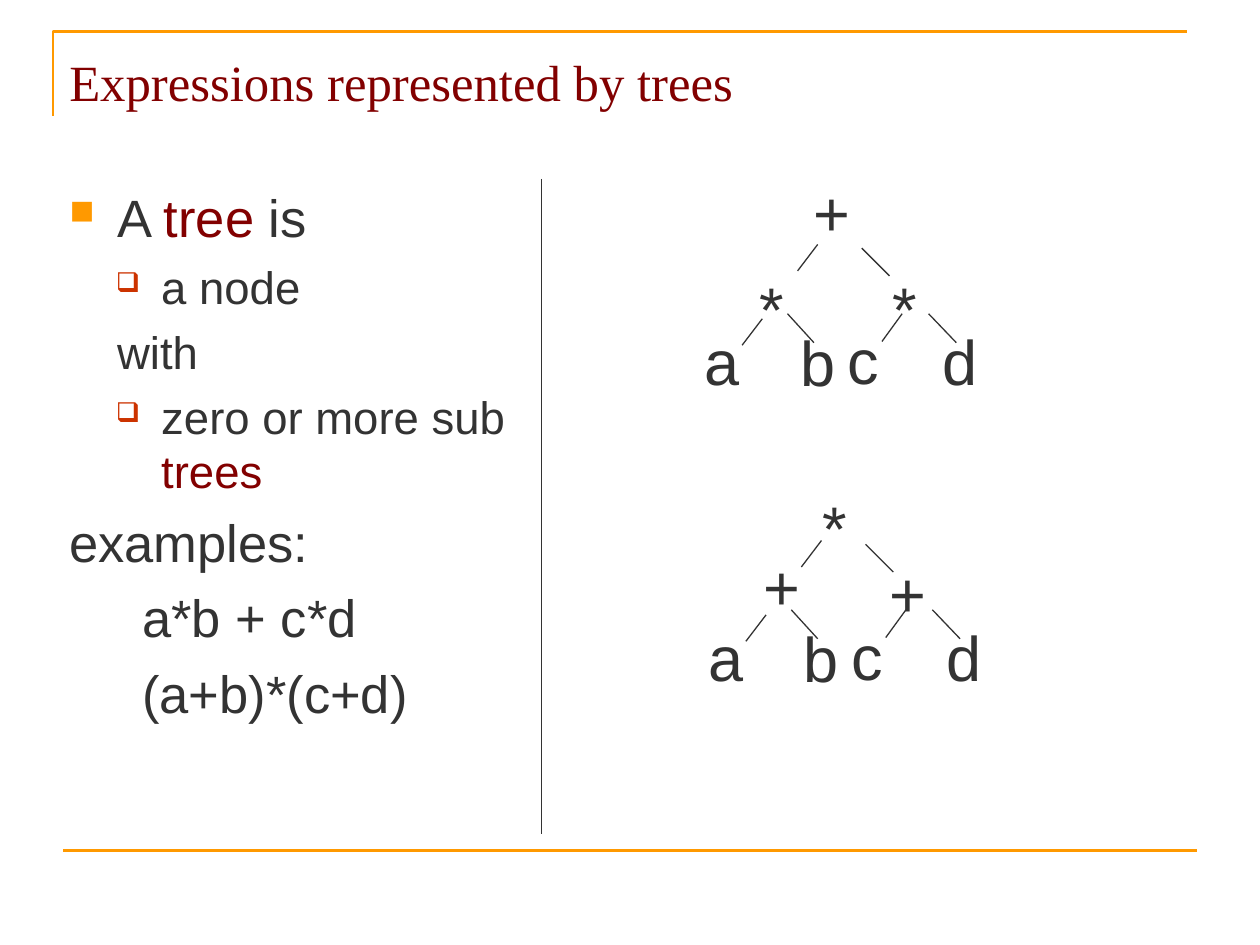
from lxml import etree
from pptx import Presentation
from pptx.dml.color import RGBColor
from pptx.enum.shapes import MSO_CONNECTOR
from pptx.enum.text import MSO_ANCHOR, MSO_AUTO_SIZE
from pptx.oxml.ns import qn
from pptx.util import Inches, Pt

STRAIGHT = MSO_CONNECTOR.STRAIGHT
TOP = MSO_ANCHOR.TOP
FIT_SHAPE = MSO_AUTO_SIZE.SHAPE_TO_FIT_TEXT

COLORS = {"frame": "FF9900", "accent": "820000", "text": "333333", "sub_bullet": "CC3300"}
TITLE = "Expressions represented by trees"

# Paragraph styles: level, left margin, first-line indent, size, space before, bullet
STYLES = {
    "main": (0, 0.38, -0.38, 30, 7, ("■", "frame", 65)),
    "sub": (1, 0.73, -0.36, 26, 6, ("❑", "sub_bullet", 60)),
    "sub_plain": (1, 0, 0.38, 26, 6, None),
    "plain": (0, 0.38, -0.38, 30, 7, None),
    "example": (0, 0.58, 0, 30, 7, None),
}
BODY = [
    ("main", [("A ", "text"), ("tree ", "accent"), ("is", "text")]),
    ("sub", [("a node", "text")]),
    ("sub_plain", [("with", "text")]),
    ("sub", [("zero or more sub ", "text"), ("trees", "accent")]),
    ("plain", [("examples:", "text")]),
    ("example", [("a*b + c*d", "text")]),
    ("example", [("(a+b)*(c+d)", "text")]),
]

# Nodes: label, left, top
OPERATORS = [
    [("+", 6.41, 1.33), ("*", 5.98, 2.09), ("*", 7.03, 2.09)],
    [("*", 6.48, 3.83), ("+", 6.01, 4.3), ("+", 7.01, 4.35)],
]
LEAVES = [("a", 5.54, 2.51), ("b", 6.3, 2.52), ("c", 6.68, 2.5), ("d", 7.43, 2.51)]
EDGES = [
    (6.49, 1.94, 6.33, 2.15), (6.05, 2.53, 5.89, 2.74), (7.16, 2.49, 7, 2.71),
    (6.84, 1.97, 7.06, 2.19), (6.25, 2.49, 6.46, 2.72), (7.37, 2.49, 7.59, 2.72),
]
TREE_OFFSETS = [(0, 0), (0.03, 2.35)]
NODE_WIDTHS = {"+": 0.41, "*": 0.31, "c": 0.36}
LETTER_WIDTH, NODE_HEIGHT = 0.39, 0.67


def color(name):
    return RGBColor.from_string(COLORS[name])


def add_line(slide, x1, y1, x2, y2, color_name="text", width=0.75):
    line = slide.shapes.add_connector(STRAIGHT, Inches(x1), Inches(y1), Inches(x2), Inches(y2))
    line.line.color.rgb = color(color_name)
    line.line.width = Pt(width)
    etree.SubElement(line._element.spPr, qn("a:effectLst"))


def add_text_frame(slide, left, top, width, height, wrap=True):
    box = slide.shapes.add_textbox(Inches(left), Inches(top), Inches(width), Inches(height))
    frame = box.text_frame
    frame.word_wrap = wrap
    frame.vertical_anchor = TOP
    frame.margin_left = frame.margin_right = Inches(0.05)
    frame.margin_top = frame.margin_bottom = Inches(0.05)
    return frame


def set_font(paragraph, name, size, color_name):
    paragraph.font.name = name
    paragraph.font.size = Pt(size)
    paragraph.font.color.rgb = color(color_name)


def add_bullet(properties, character, color_name, percent):
    bullet_color = etree.SubElement(properties, qn("a:buClr"))
    etree.SubElement(bullet_color, qn("a:srgbClr"), val=COLORS[color_name])
    etree.SubElement(properties, qn("a:buSzPct"), val=str(percent * 1000))
    etree.SubElement(properties, qn("a:buChar"), char=character)


def add_frame_lines(slide):
    builder = slide.shapes.build_freeform(Inches(0.42), Inches(0.92))
    builder.add_line_segments([(Inches(0.42), Inches(0.25)), (Inches(9.42), Inches(0.25))], close=False)
    corner = builder.convert_to_shape()
    corner.shadow.inherit = False
    corner.fill.background()
    corner.line.color.rgb = color("frame")
    corner.line.width = Pt(1.5)
    add_line(slide, 0.5, 6.75, 9.5, 6.75, "frame", 1.5)


def add_title(slide):
    frame = add_text_frame(slide, 0.5, 0.3, 9, 1.03)
    frame.margin_top = Inches(0.1)
    paragraph = frame.paragraphs[0]
    paragraph.text = TITLE
    set_font(paragraph, "Times New Roman", 29, "accent")


def add_body(slide):
    frame = add_text_frame(slide, 0.5, 1.42, 3.8, 5.2)
    for index, (style, runs) in enumerate(BODY):
        level, margin, indent, size, space, bullet = STYLES[style]
        paragraph = frame.add_paragraph() if index else frame.paragraphs[0]
        paragraph.level = level
        paragraph.space_before = Pt(space)
        properties = paragraph._p.get_or_add_pPr()
        properties.set("marL", str(Inches(margin)))
        properties.set("indent", str(Inches(indent)))
        if bullet:
            add_bullet(properties, *bullet)
        set_font(paragraph, "Arial", size, "text")
        for text, color_name in runs:
            run = paragraph.add_run()
            run.text = text
            run.font.color.rgb = color(color_name)


def add_tree(slide, operators, dx, dy):
    leaves = [(label, left + dx, top + dy) for label, left, top in LEAVES]
    for label, left, top in operators + leaves:
        width = NODE_WIDTHS.get(label, LETTER_WIDTH)
        frame = add_text_frame(slide, left, top, width, NODE_HEIGHT, wrap=False)
        frame.auto_size = FIT_SHAPE
        paragraph = frame.paragraphs[0]
        paragraph.text = label
        set_font(paragraph, "Arial", 36, "text")
    for x1, y1, x2, y2 in EDGES:
        add_line(slide, x1 + dx, y1 + dy, x2 + dx, y2 + dy)


def main():
    presentation = Presentation()
    presentation.slide_width = Inches(10)
    presentation.slide_height = Inches(7.5)
    slide = presentation.slides.add_slide(presentation.slide_layouts[6])
    add_frame_lines(slide)
    add_title(slide)
    add_body(slide)
    add_line(slide, 4.3, 1.42, 4.3, 6.62)
    for operators, offset in zip(OPERATORS, TREE_OFFSETS):
        add_tree(slide, operators, *offset)
    presentation.save("out.pptx")


if __name__ == "__main__":
    main()
